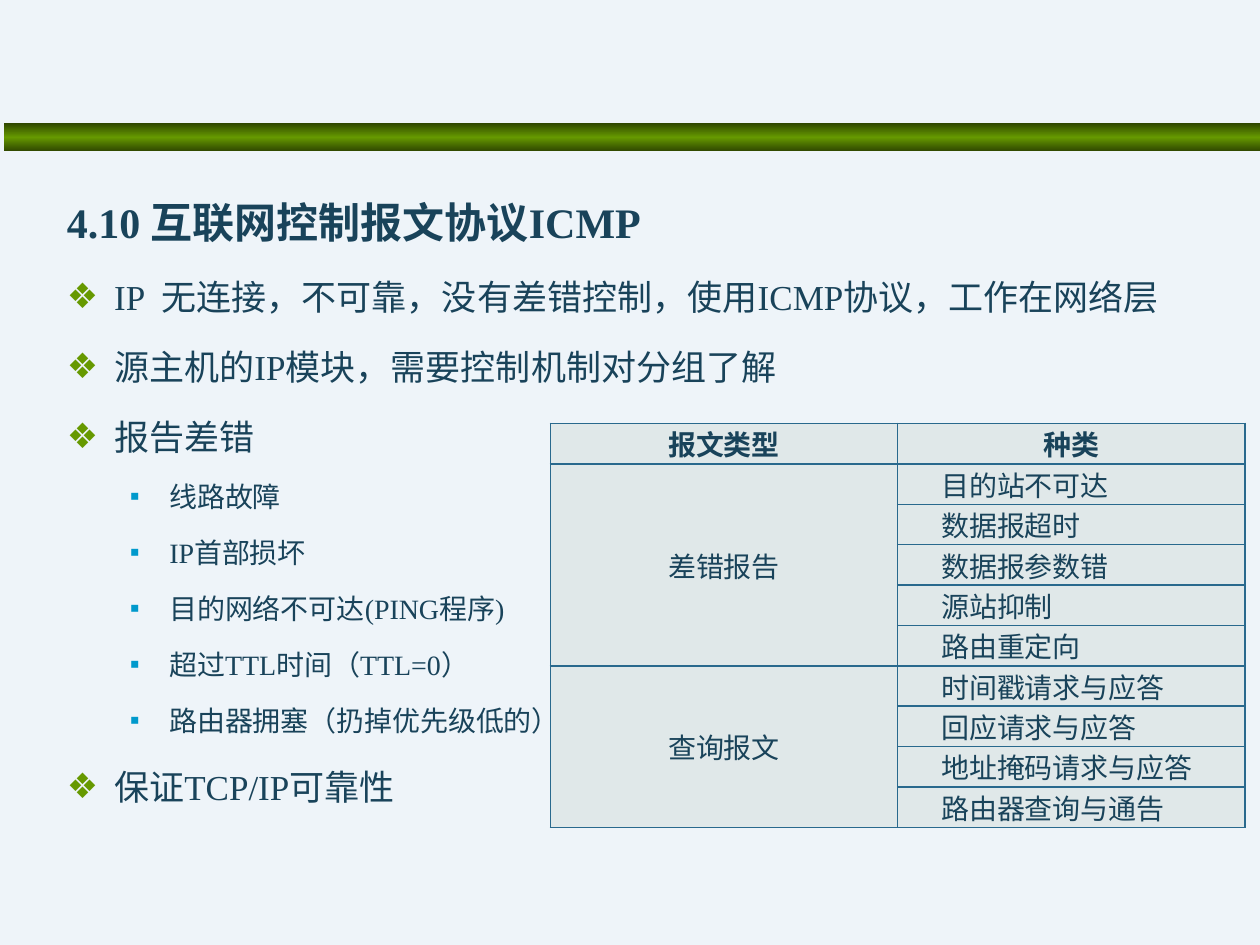
from lxml import etree
from pptx import Presentation
from pptx.dml.color import RGBColor
from pptx.enum.shapes import MSO_SHAPE
from pptx.enum.text import MSO_ANCHOR, MSO_AUTO_SIZE, PP_ALIGN
from pptx.oxml.ns import qn
from pptx.util import Pt

RECT = MSO_SHAPE.RECTANGLE
TOP, MIDDLE = MSO_ANCHOR.TOP, MSO_ANCHOR.MIDDLE
NO_FIT = MSO_AUTO_SIZE.NONE
CENTER, JUSTIFY = PP_ALIGN.CENTER, PP_ALIGN.JUSTIFY

BACKGROUND = RGBColor(0xEE, 0xF4, 0xF9)
INK = RGBColor(0x19, 0x43, 0x5A)
DARK_GREEN = RGBColor(0x2F, 0x47, 0x00)
GREEN = RGBColor(0x66, 0x99, 0x00)
BLUE = RGBColor(0x00, 0x99, 0xCC)
CELL_FILL = RGBColor(0xE0, 0xE8, 0xE9)
BORDER = RGBColor(0x29, 0x69, 0x8D)

# Content
HEADING, POINT, DETAIL = "heading", "point", "detail"
OUTLINE = [
    (HEADING, "4.10 互联网控制报文协议ICMP"),
    (POINT, "IP  无连接，不可靠，没有差错控制，使用ICMP协议，工作在网络层"),
    (POINT, "源主机的IP模块，需要控制机制对分组了解"),
    (POINT, "报告差错"),
    (DETAIL, "线路故障"),
    (DETAIL, "IP首部损坏"),
    (DETAIL, "目的网络不可达(PING程序)"),
    (DETAIL, "超过TTL时间（TTL=0）"),
    (DETAIL, "路由器拥塞（扔掉优先级低的）"),
    (POINT, "保证TCP/IP可靠性"),
]
HEADERS = ["报文类型", "种类"]
MESSAGES = [
    ("差错报告", ["目的站不可达", "数据报超时", "数据报参数错", "源站抑制", "路由重定向"]),
    ("查询报文", ["时间戳请求与应答", "回应请求与应答", "地址掩码请求与应答", "路由器查询与通告"]),
]

# kind: level, size, left margin, hanging indent, bullet, bullet colour
STYLES = {
    HEADING: (0, 24, 27, 27, None, None),
    POINT: (0, 20, 27, 27, "❖", GREEN),
    DETAIL: (1, 16, 58.5, 22.5, "▪", BLUE),
}


def add_color(parent, color):
    etree.SubElement(parent, qn("a:srgbClr"), val=str(color))


def set_indent(p, left, first):
    pPr = p._p.get_or_add_pPr()
    pPr.set("marL", str(Pt(left)))
    pPr.set("indent", str(Pt(first)))
    return pPr


def set_bullet(pPr, char, color):
    if char is None:
        etree.SubElement(pPr, qn("a:buNone"))
        return
    add_color(etree.SubElement(pPr, qn("a:buClr")), color)
    etree.SubElement(pPr, qn("a:buChar"), char=char)


def format_run(p, size, font, bold, east_asian=None):
    r = p.runs[0]
    r.font.size, r.font.name, r.font.bold = Pt(size), font, bold
    r.font.color.rgb = INK
    if east_asian:
        ea = etree.Element(qn("a:ea"), typeface=east_asian)
        r._r.rPr.find(qn("a:latin")).addnext(ea)


def set_cell(cell, text, font, bold=False, align=CENTER):
    cell.text = text
    cell.vertical_anchor = MIDDLE
    cell.margin_left = cell.margin_right = Pt(5.4)
    cell.margin_top = cell.margin_bottom = 0
    p = cell.text_frame.paragraphs[0]
    p.alignment = align
    if align == JUSTIFY:
        set_indent(p, 0, 19.5)
    format_run(p, 16, font, bold, "Noto Sans CJK SC")


def format_cell(cell):
    tcPr = cell._tc.get_or_add_tcPr()
    for side in ("a:lnL", "a:lnR", "a:lnT", "a:lnB"):
        ln = etree.SubElement(tcPr, qn(side), w=str(Pt(1)))
        add_color(etree.SubElement(ln, qn("a:solidFill")), BORDER)
    cell.fill.solid()
    cell.fill.fore_color.rgb = CELL_FILL


prs = Presentation()
prs.slide_width, prs.slide_height = Pt(720), Pt(540)
s = prs.slides.add_slide(prs.slide_layouts[1])
s.background.fill.solid()
s.background.fill.fore_color.rgb = BACKGROUND

# The heading is the first line of the body
title = s.shapes.title._element
title.getparent().remove(title)
body = s.placeholders[1]

# Green bar, shaded dark at both edges
bar = s.shapes.add_shape(RECT, Pt(2), Pt(70.5), Pt(718), Pt(16))
bar.shadow.inherit = False
bar.line.fill.background()
bar.fill.gradient()
bar.fill.gradient_angle = 90
stops = bar._element.spPr.find(qn("a:gradFill")).find(qn("a:gsLst"))
for stop in list(stops):
    stops.remove(stop)
for percent, color in ((0, DARK_GREEN), (50, GREEN), (100, DARK_GREEN)):
    add_color(etree.SubElement(stops, qn("a:gs"), pos=str(percent * 1000)), color)
body._element.addprevious(bar._element)

# Outline
body.left, body.top, body.width, body.height = Pt(31), Pt(94.5), Pt(663), Pt(329)
tf = body.text_frame
tf.word_wrap, tf.auto_size, tf.vertical_anchor = True, NO_FIT, TOP
for i, (kind, text) in enumerate(OUTLINE):
    level, size, left, hang, char, color = STYLES[kind]
    p = tf.paragraphs[0] if i == 0 else tf.add_paragraph()
    p.text = text
    p.level = level
    p.line_spacing = 1.5
    p.space_before = Pt(size * 0.2 if i else 0)
    set_bullet(set_indent(p, left, -hang), char, color)
    format_run(p, size, "Times New Roman", kind == HEADING)

# Message table
row_count = 1 + sum(len(kinds) for _, kinds in MESSAGES)
table = s.shapes.add_table(row_count, 2, Pt(314.5), Pt(242),
                           Pt(397), Pt(21 * row_count)).table
for row in table.rows:
    row.height = Pt(21)
for column in table.columns:
    column.width = Pt(198.5)
for cell in table.iter_cells():
    format_cell(cell)
for c, text in enumerate(HEADERS):
    set_cell(table.cell(0, c), text, "Calibri", bold=True)
first = 1
for group, kinds in MESSAGES:
    table.cell(first, 0).merge(table.cell(first + len(kinds) - 1, 0))
    set_cell(table.cell(first, 0), group, "Noto Sans CJK SC")
    for r, text in enumerate(kinds, first):
        set_cell(table.cell(r, 1), text, "Noto Sans CJK SC", align=JUSTIFY)
    first += len(kinds)

prs.save("out.pptx")
